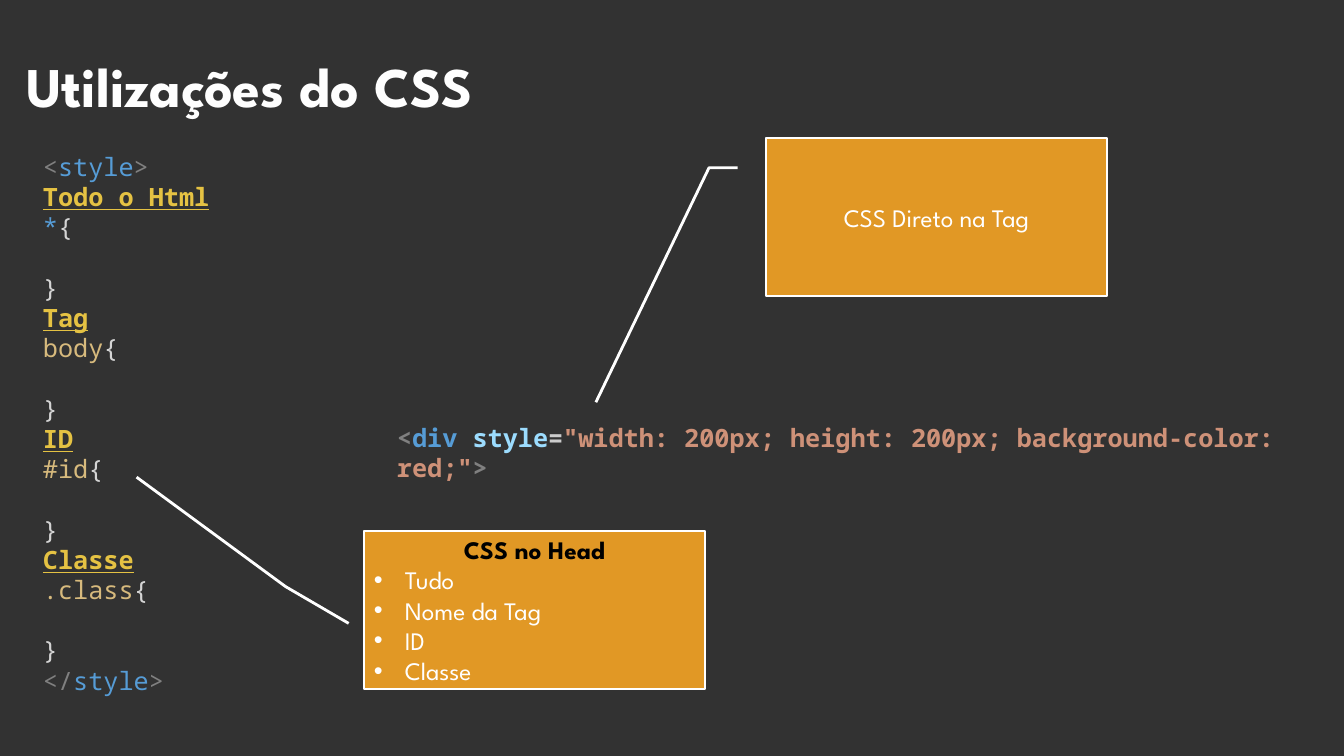
from lxml.etree import SubElement
from pptx import Presentation
from pptx.dml.color import RGBColor
from pptx.enum.shapes import MSO_SHAPE
from pptx.enum.text import MSO_ANCHOR, MSO_AUTO_SIZE, PP_ALIGN
from pptx.oxml.ns import qn
from pptx.util import Emu, Pt

WIDTH, HEIGHT = 1344, 756
SCALE = 12192000 / WIDTH
BACK, TITLE, WHITE, BLACK = "323232", "FEFEFE", "FFFFFF", "000000"
ORANGE, YELLOW, GRAY, BLUE = "E19825", "E5C243", "808080", "569CD6"
BRACE, SELECTOR, ATTRIBUTE, EQUALS, STRING = "D4D4D4", "D7BA7D", "9CDCFE", "CCCCCC", "CE9178"


def px(n):
    return Emu(round(n * SCALE))


def rgb(color):
    return RGBColor.from_string(color)


class Deck:
    sans = "League Spartan"
    mono = "Noto Sans Mono"
    size = 18
    line_height = 21.6

    def __init__(self):
        self.prs = Presentation()
        self.prs.slide_width, self.prs.slide_height = px(WIDTH), px(HEIGHT)
        self.slide = self.prs.slides.add_slide(self.prs.slide_layouts[5])
        fill = self.slide.background.fill
        fill.solid()
        fill.fore_color.rgb = rgb(BACK)

    def run(self, p, text, color, font, size=size, bold=False, underline=False):
        r = p.add_run()
        r.text = text
        r.font.name, r.font.size = font, Pt(size)
        r.font.bold, r.font.underline = bold, underline
        r.font.color.rgb = rgb(color)
        return r

    def paragraph(self, tf, first):
        return tf.paragraphs[0] if first else tf.add_paragraph()

    def title(self, text, x, y, w, h):
        sp = self.slide.shapes.title
        sp.left, sp.top, sp.width, sp.height = map(px, (x, y, w, h))
        tf = sp.text_frame
        tf.vertical_anchor = MSO_ANCHOR.BOTTOM
        p = tf.paragraphs[0]
        p.alignment = PP_ALIGN.LEFT
        r = self.run(p, text, TITLE, self.sans, 40, True)
        effects = SubElement(r.font.fill._xPr, qn("a:effectLst"))
        r.font.fill._xPr.find(qn("a:solidFill")).addnext(effects)
        shadow = SubElement(effects, qn("a:outerShdw"), blurRad="38100", dist="38100", dir="2700000")
        color = SubElement(shadow, qn("a:srgbClr"), val=BLACK)
        SubElement(color, qn("a:alpha"), val="43000")

    def code(self, lines, x, y, w, h, bold=False):
        sp = self.slide.shapes.add_textbox(*map(px, (x, y, w, h)))
        tf = sp.text_frame
        tf.word_wrap = True
        tf.auto_size = MSO_AUTO_SIZE.SHAPE_TO_FIT_TEXT
        for i, line in enumerate(lines):
            p = self.paragraph(tf, i == 0)
            p.line_spacing = Pt(self.line_height)
            if line[0][0] == "}":
                p.space_before = Pt(self.line_height)
            for text, color in line:
                heading = color == YELLOW
                self.run(p, text, color, self.mono, bold=bold or heading, underline=heading)

    def callout(self, x, y, adjustments, heading, heading_color, bold=False, items=()):
        sp = self.slide.shapes.add_shape(MSO_SHAPE.LINE_CALLOUT_2, *map(px, (x, y, 341, 158)))
        sp.shadow.inherit = False
        for i, value in enumerate(adjustments):
            sp.adjustments[i] = value
        sp.fill.solid()
        sp.fill.fore_color.rgb = rgb(ORANGE)
        sp.line.color.rgb = rgb(WHITE)
        sp.line.width = Pt(2)
        tf = sp.text_frame
        tf.word_wrap = True
        tf.vertical_anchor = MSO_ANCHOR.MIDDLE
        for i, text in enumerate((heading, *items)):
            p = self.paragraph(tf, i == 0)
            p.line_spacing = Pt(self.line_height)
            if i == 0:
                p.alignment = PP_ALIGN.CENTER
                self.run(p, text, heading_color, self.sans, bold=bold)
            else:
                p.alignment = PP_ALIGN.LEFT
                self.bullet(p)
                self.run(p, text, WHITE, self.sans)

    def bullet(self, p):
        pPr = p._p.get_or_add_pPr()
        pPr.set("marL", str(px(31)))
        pPr.set("indent", str(px(-31)))
        SubElement(pPr, qn("a:buFont"), typeface="Arial")
        SubElement(pPr, qn("a:buChar"), char="•")


def main():
    deck = Deck()
    deck.title("Utilizações do CSS", 16, 17, 1165, 107)

    rules = [
        ("Todo o Html", "*", BLUE),
        ("Tag", "body", SELECTOR),
        ("ID", "#id", SELECTOR),
        ("Classe", ".class", SELECTOR),
    ]
    lines = [[("<", GRAY), ("style", BLUE), (">", GRAY)]]
    for name, selector, color in rules:
        lines += [[(name, YELLOW)], [(selector, color), ("{", BRACE)], [("}", BRACE)]]
    lines.append([("</", GRAY), ("style", BLUE), (">", GRAY)])
    deck.code(lines, 33, 146, 854, 559)

    div = [
        ("<", GRAY),
        ("div ", BLUE),
        ("style", ATTRIBUTE),
        ("=", EQUALS),
        ('"width: 200px; height: 200px; background-color: red;"', STRING),
        (">", GRAY),
    ]
    deck.code([div], 387, 417, 957, 40, bold=True)

    deck.callout(766, 138, (0.188, -0.083, 0.188, -0.167, 1.673, -0.499), "CSS Direto na Tag", WHITE)
    deck.callout(364, 531, (0.585, -0.045, 0.352, -0.23, -0.341, -0.667), "CSS no Head", BLACK, True,
                 ("Tudo", "Nome da Tag", "ID", "Classe"))
    deck.prs.save("out.pptx")


if __name__ == "__main__":
    main()
